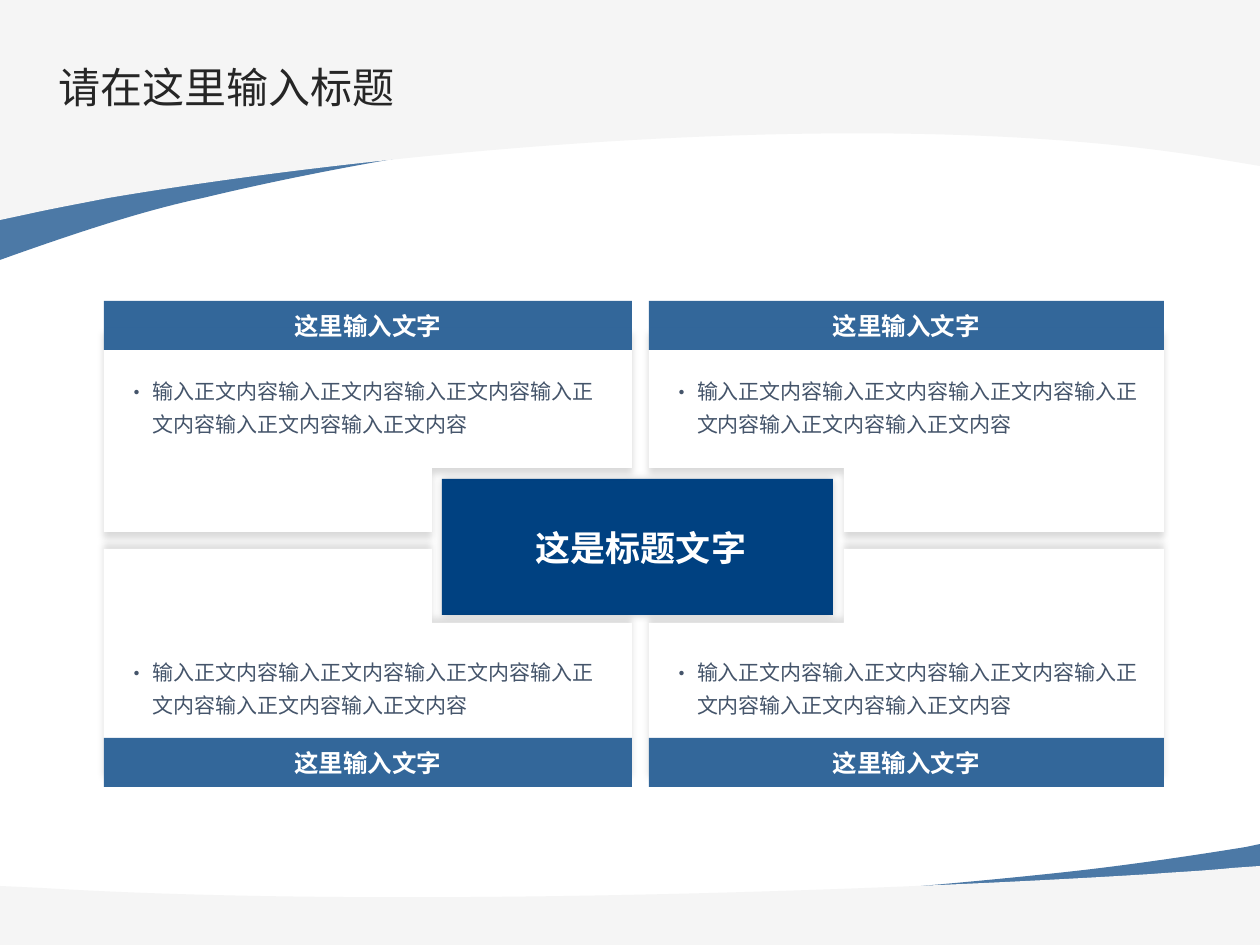
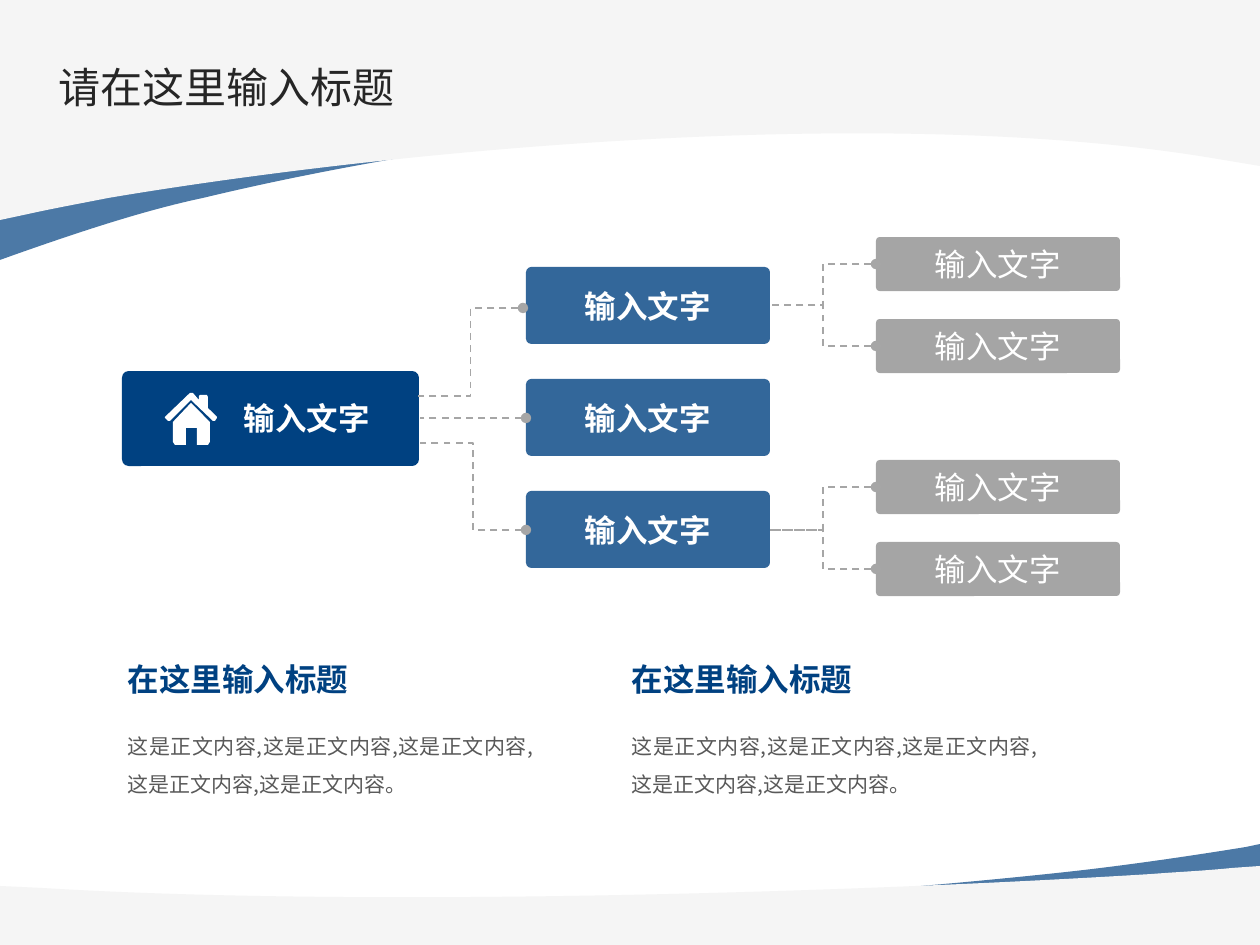
from itertools import product
from lxml import etree
from pptx import Presentation
from pptx.dml.color import RGBColor
from pptx.enum.dml import MSO_LINE
from pptx.enum.shapes import MSO_CONNECTOR, MSO_SHAPE
from pptx.enum.text import MSO_ANCHOR, MSO_AUTO_SIZE, PP_ALIGN
from pptx.oxml.ns import qn
from pptx.util import Pt

PX = 914400 / 126
FONT = "Noto Sans CJK SC"
NAVY, GREY, PALE, WHITE = "004181", "808080", "F5F5F5", "FFFFFF"


def paint(sp, color, alpha=100, shadow=None):
    sp.fill.solid()
    sp.fill.fore_color.rgb = RGBColor.from_string(color)
    sp.line.fill.background()
    sp.shadow.inherit = False
    spPr = sp._element.spPr
    if alpha < 100:
        clr = spPr.find(qn("a:solidFill"))[0]
        etree.SubElement(clr, qn("a:alpha"), val=str(alpha * 1000))
    if shadow:
        opacity, blur, dist, angle = shadow
        outer = etree.SubElement(
            spPr.find(qn("a:effectLst")), qn("a:outerShdw"), blurRad=str(Pt(blur)),
            dist=str(Pt(dist)), dir=str(angle * 60000), algn="ctr", rotWithShape="0")
        clr = etree.SubElement(outer, qn("a:srgbClr"), val="000000")
        etree.SubElement(clr, qn("a:alpha"), val=str(opacity * 1000))


def write(sp, text, size, color, bold=False, align=PP_ALIGN.LEFT,
          anchor=MSO_ANCHOR.MIDDLE, insets=(0, 0, 0, 0), spacing=None):
    tf = sp.text_frame
    tf.auto_size = MSO_AUTO_SIZE.NONE
    tf.word_wrap = True
    tf.vertical_anchor = anchor
    tf.margin_left, tf.margin_top, tf.margin_right, tf.margin_bottom = [
        round(v * PX) for v in insets]
    p = tf.paragraphs[0]
    p.alignment = align
    if spacing:
        p.line_spacing = spacing
    r = p.add_run()
    r.text = text
    r.font.size = Pt(size)
    r.font.bold = bold
    r.font.name = FONT
    r.font.color.rgb = RGBColor.from_string(color)
    etree.SubElement(r._r.get_or_add_rPr(), qn("a:ea"), typeface=FONT)
    return p


prs = Presentation()
prs.slide_width = round(1260 * PX)
prs.slide_height = round(945 * PX)
layout = prs.slide_layouts[5]

slides = []
for _ in range(2):
    s = prs.slides.add_slide(layout)
    title = s.shapes.title
    title.left, title.top, title.width, title.height = [
        round(v * PX) for v in (50, 52, 1134, 73)]
    write(title, "请在这里输入标题", 24, "262626", insets=(9, 8, 0, 12))
    slides.append(s)
grid_slide, tree_slide = slides

waves = [
    (NAVY, 70, [(0, 260), (0, 83), (1260, 83), (1260, 156), (1259, 155)],
     [[(975, 67), (485, 130), (203, 198)], [(146, 210), (82, 231), (14, 255)]]),
    (PALE, 100, [(0, 220), (0, 0), (1260, 0), (1260, 166), (1218, 159)],
     [[(890, 103), (399, 149), (108, 198)], [(83, 203), (55, 208), (28, 214)]]),
    (NAVY, 70, [(1260, 844), (1260, 926), (0, 926), (0, 892), (1, 892)],
     [[(285, 934), (775, 903), (1057, 873)], [(1114, 867), (1178, 858), (1246, 847)]]),
    (PALE, 100, [(1260, 866), (1260, 945), (0, 945), (0, 886), (42, 888)],
     [[(370, 908), (861, 892), (1152, 874)], [(1177, 872), (1203, 871), (1232, 868)]]),
]
for i, (color, alpha, corners, curves) in enumerate(waves):
    points = corners + [curve[-1] for curve in curves]
    top = min(y for x, y in points)
    fb = grid_slide.shapes.build_freeform(*points[0], scale=PX)
    fb.add_line_segments(points[1:], close=True)
    sp = fb.convert_to_shape()
    paint(sp, color, alpha)
    segments = list(sp._element.iter(qn("a:lnTo")))
    for segment, curve in zip(segments[-len(curves):], curves):
        segment.tag = qn("a:cubicBezTo")
        for n, (x, y) in enumerate(curve[:2]):
            segment.insert(n, etree.Element(qn("a:pt"), x=str(x), y=str(y - top)))
    layout.shapes._spTree.insert(2 + i, sp._element)

shapes = grid_slide.shapes
hub = shapes.add_shape(MSO_SHAPE.RECTANGLE, *[round(v * PX) for v in (442, 479, 391, 136)])
paint(hub, NAVY, shadow=(20, 5, 0, 0))

rows = [(532, 468, 328, 301, 371, 159, (15, 4, 3, 90)),
        (549, 623, 782, 738, 652, 79, (13, 4, 3, 270))]
columns = [(104, 432, 632, 127), (1164, 844, 649, 671)]
for row, column in product(rows, columns):
    edge, notch_y, far, bar_y, body_y, body_h, shadow = row
    outer, notch_x, inner, body_x = column
    fb = shapes.build_freeform(outer, edge, scale=PX)
    fb.add_line_segments([(notch_x, edge), (notch_x, notch_y), (inner, notch_y),
                          (inner, far), (outer, far)], close=True)
    paint(fb.convert_to_shape(), WHITE, shadow=shadow)

    bar = shapes.add_shape(MSO_SHAPE.RECTANGLE, *[
        round(v * PX) for v in (min(outer, inner), bar_y, abs(outer - inner), 49)])
    paint(bar, NAVY, 80)
    write(bar, "这里输入文字", 14, WHITE, True, PP_ALIGN.CENTER)

    body = shapes.add_textbox(*[round(v * PX) for v in (body_x, body_y, 471, body_h)])
    p = write(body, "输入正文内容" * 6, 12, "44546A", anchor=MSO_ANCHOR.TOP, spacing=1.3)
    pPr = p._p.get_or_add_pPr()
    pPr.set("marL", str(round(26 * PX)))
    pPr.set("indent", str(round(-26 * PX)))
    etree.SubElement(pPr, qn("a:buFont"), typeface=FONT)
    etree.SubElement(pPr, qn("a:buChar"), char="•")

label = shapes.add_textbox(*[round(v * PX) for v in (466, 526, 350, 43)])
write(label, "这是标题文字", 20, WHITE, True, PP_ALIGN.CENTER)

shapes = tree_slide.shapes
nodes = [(122, 371, 297, 95, NAVY, 100, None)]
nodes += [(526, 267 + 112 * i, 244, 77, NAVY, 80, True) for i in range(3)]
nodes += [(876, y, 244, 54, GREY, 70, False) for y in (237, 319, 460, 542)]
for x, y, w, h, color, alpha, bold in nodes:
    node = shapes.add_shape(MSO_SHAPE.ROUNDED_RECTANGLE, *[round(v * PX) for v in (x, y, w, h)])
    node.adjustments[0] = 0.07
    paint(node, color, alpha)
    if bold is not None:
        write(node, "输入文字", 18, WHITE, bold, PP_ALIGN.CENTER)

label = shapes.add_textbox(*[round(v * PX) for v in (218, 386, 178, 63)])
write(label, "输入文字", 18, WHITE, True, PP_ALIGN.CENTER)

links = [(523, 308, 418, 396), (526, 530, 420, 443), (526, 418, 420, 418),
         (876, 264, 770, 305), (876, 346, 770, 305),
         (876, 487, 770, 530), (876, 569, 770, 530)]
for link in links:
    cxn = shapes.add_connector(MSO_CONNECTOR.ELBOW, *[round(v * PX) for v in link])
    cxn.line.color.rgb = RGBColor.from_string("A6A6A6")
    cxn.line.width = Pt(1)
    cxn.line.dash_style = MSO_LINE.DASH
    etree.SubElement(cxn.line._get_or_add_ln(), qn("a:headEnd"), type="oval")
    etree.SubElement(cxn._element.spPr, qn("a:effectLst"))

roof = [(217, 417), (217, 418), (215, 421), (213, 421), (191, 400), (170, 421),
        (168, 421), (165, 418), (165, 417), (190, 393), (193, 393), (199, 400),
        (199, 396), (200, 395), (207, 395), (208, 397), (208, 408)]
walls = [(210, 422), (210, 442), (208, 445), (197, 445), (197, 428), (186, 428),
         (186, 445), (175, 445), (173, 442), (173, 422), (191, 403)]
fb = shapes.build_freeform(*roof[0], scale=PX)
fb.add_line_segments(roof[1:], close=True)
fb.move_to(*walls[0])
fb.add_line_segments(walls[1:], close=True)
paint(fb.convert_to_shape(), WHITE)

for x in (116, 620):
    body = shapes.add_textbox(*[round(v * PX) for v in (x, 715, 430, 89)])
    write(body, ",".join(["这是正文内容"] * 5) + "。", 12, "595959", align=PP_ALIGN.JUSTIFY,
          anchor=MSO_ANCHOR.TOP, insets=(12, 6, 13, 6), spacing=1.5)
    heading = shapes.add_textbox(*[round(v * PX) for v in (x, 665, 248, 40)])
    write(heading, "在这里输入标题", 18, NAVY, True, insets=(12, 6, 0, 6), spacing=Pt(15))

prs.save("out.pptx")
